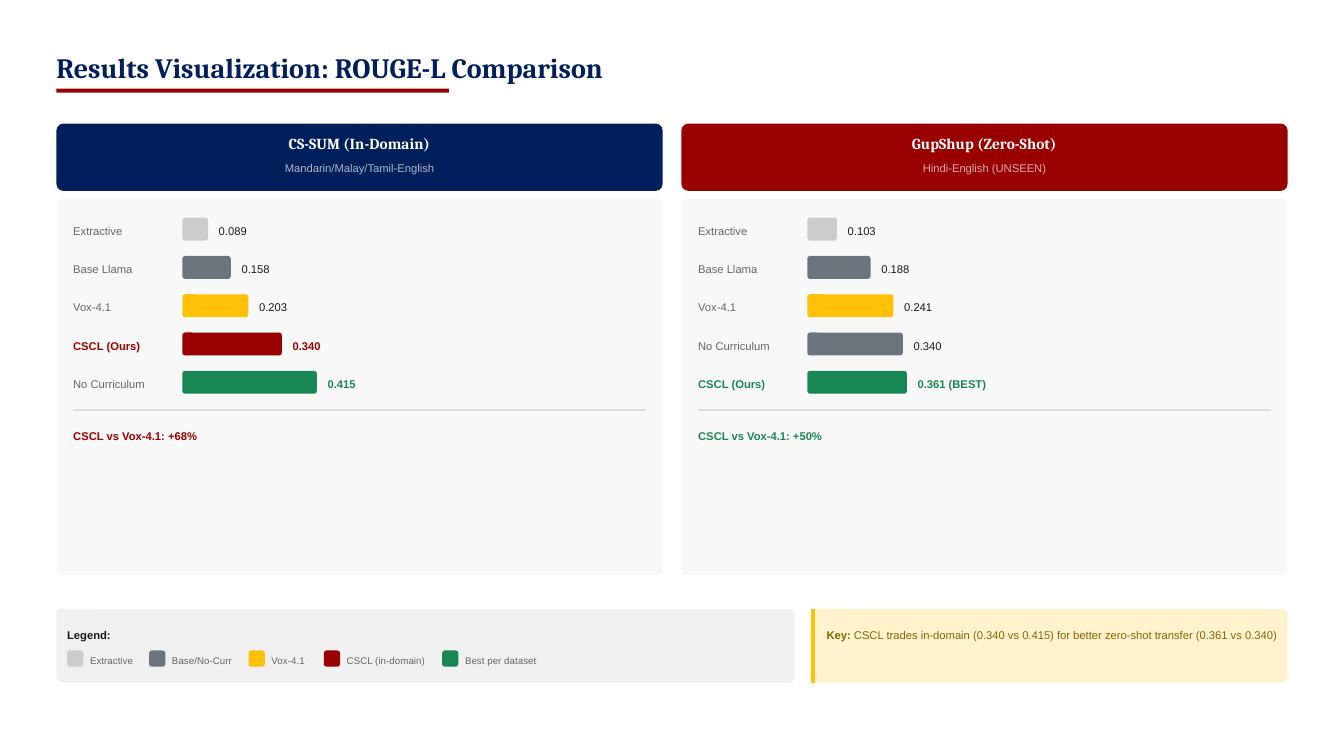
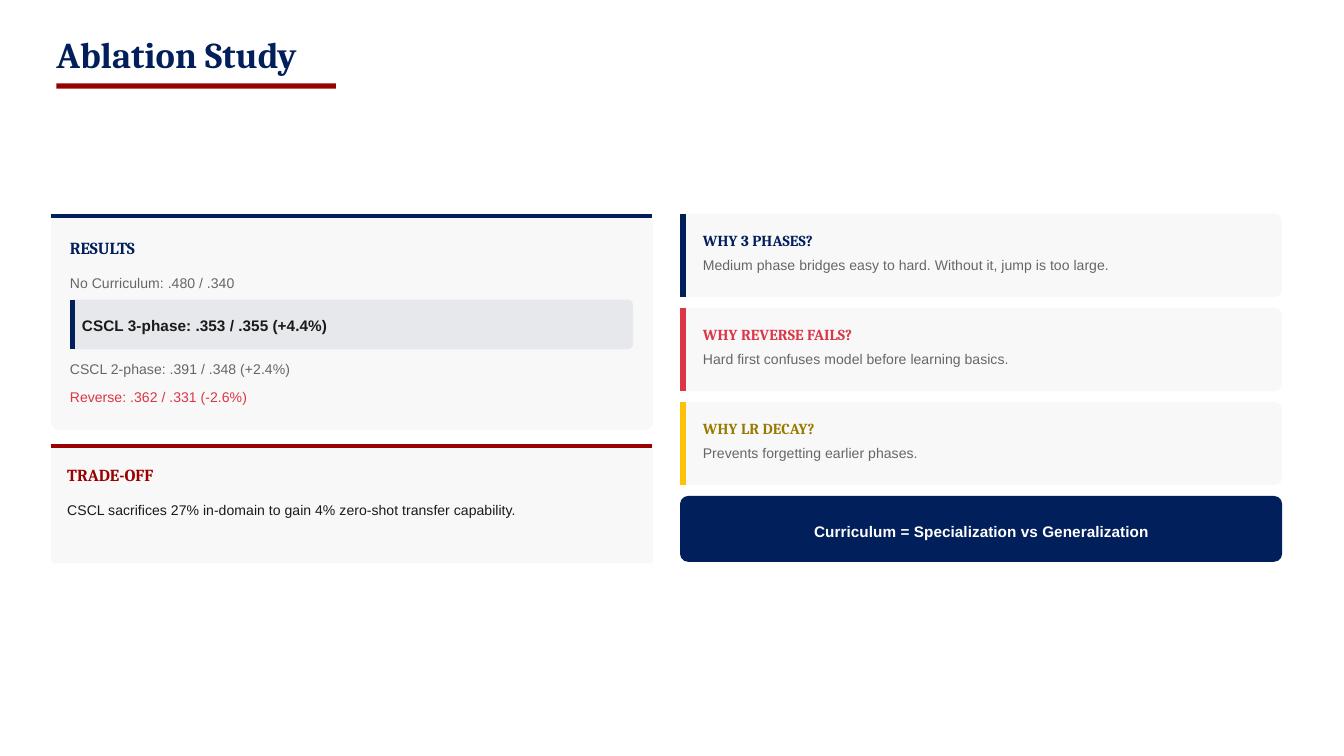
from lxml.etree import SubElement
from pptx import Presentation
from pptx.dml.color import RGBColor
from pptx.enum.shapes import MSO_CONNECTOR, MSO_SHAPE
from pptx.enum.text import MSO_ANCHOR, PP_ALIGN
from pptx.oxml.ns import qn
from pptx.util import Inches, Pt

NAVY = RGBColor(0x01, 0x1F, 0x5B)
RED = RGBColor(0x99, 0x00, 0x00)
ROSE = RGBColor(0xDC, 0x35, 0x45)
GREEN = RGBColor(0x19, 0x87, 0x54)
GOLD = RGBColor(0xFF, 0xC1, 0x07)
OLIVE = RGBColor(0x99, 0x7A, 0x00)
BROWN = RGBColor(0x85, 0x64, 0x04)
CREAM = RGBColor(0xFF, 0xF3, 0xCD)
SLATE = RGBColor(0x6C, 0x75, 0x7D)
SILVER = RGBColor(0xCC, 0xCC, 0xCC)
RULE = RGBColor(0xDD, 0xDD, 0xDD)
PANEL = RGBColor(0xF8, 0xF8, 0xF8)
STRIP = RGBColor(0xF0, 0xF0, 0xF0)
GRAY = RGBColor(0x66, 0x66, 0x66)
INK = RGBColor(0x1A, 0x1A, 0x1A)
WHITE = RGBColor(0xFF, 0xFF, 0xFF)
SERIF, SANS = "Cambria", "Arial"

# Results content: label, value, bar width, bar colour, label and value accents
PANELS = [
    {"head": "CS-SUM (In-Domain)", "sub": "Mandarin/Malay/Tamil-English",
     "color": NAVY, "gain": "CSCL vs Vox-4.1: +68%", "tone": RED,
     "rows": [("Extractive", "0.089", 0.19, SILVER, None, None),
              ("Base Llama", "0.158", 0.36, SLATE, None, None),
              ("Vox-4.1", "0.203", 0.49, GOLD, None, None),
              ("CSCL (Ours)", "0.340", 0.74, RED, RED, RED),
              ("No Curriculum", "0.415", 1.0, GREEN, None, GREEN)]},
    {"head": "GupShup (Zero-Shot)", "sub": "Hindi-English (UNSEEN)",
     "color": RED, "gain": "CSCL vs Vox-4.1: +50%", "tone": GREEN,
     "rows": [("Extractive", "0.103", 0.22, SILVER, None, None),
              ("Base Llama", "0.188", 0.47, SLATE, None, None),
              ("Vox-4.1", "0.241", 0.64, GOLD, None, None),
              ("No Curriculum", "0.340", 0.71, SLATE, None, None),
              ("CSCL (Ours)", "0.361 (BEST)", 0.74, GREEN, GREEN, GREEN)]},
]
LEGEND = [("Extractive", SILVER, 0.33), ("Base/No-Curr", SLATE, 0.46),
          ("Vox-4.1", GOLD, 0.28), ("CSCL (in-domain)", RED, 0.6),
          ("Best per dataset", GREEN, 0.54)]
KEY = ("Key:", " CSCL trades in-domain (0.340 vs 0.415) for better "
               "zero-shot transfer (0.361 vs 0.340)")

# Ablation content
SCORES = [("No Curriculum: .480 / .340", 2.02, GRAY),
          ("CSCL 2-phase: .391 / .348 (+2.4%)", 2.66, GRAY),
          ("Reverse: .362 / .331 (-2.6%)", 2.87, ROSE)]
BEST = "CSCL 3-phase: .353 / .355 (+4.4%)"
TRADE = "CSCL sacrifices 27% in-domain to gain 4% zero-shot transfer capability."
REASONS = [
    ("WHY 3 PHASES?", NAVY, NAVY,
     "Medium phase bridges easy to hard. Without it, jump is too large."),
    ("WHY REVERSE FAILS?", ROSE, ROSE,
     "Hard first confuses model before learning basics."),
    ("WHY LR DECAY?", GOLD, OLIVE, "Prevents forgetting earlier phases."),
]
CLAIM = "Curriculum = Specialization vs Generalization"


def fade(root, pct):
    """Make the solid colour under root partly transparent."""
    color = next(root.iter(qn("a:srgbClr")))
    SubElement(color, qn("a:alpha")).set("val", str(pct * 1000))


def box(slide, x, y, w, h, color, radius=0.0, alpha=None):
    kind = MSO_SHAPE.ROUNDED_RECTANGLE if radius else MSO_SHAPE.RECTANGLE
    shape = slide.shapes.add_shape(kind, Inches(x), Inches(y), Inches(w), Inches(h))
    if radius:
        shape.adjustments[0] = radius / min(w, h)
    shape.shadow.inherit = False
    shape.fill.solid()
    shape.fill.fore_color.rgb = color
    shape.line.fill.background()
    if alpha:
        fade(shape._element.spPr, alpha)


def line(slide, x, y, w, h, color, width):
    link = slide.shapes.add_connector(MSO_CONNECTOR.STRAIGHT, Inches(x), Inches(y),
                                      Inches(x + w), Inches(y + h))
    link.line.color.rgb = color
    link.line.width = Pt(width)
    SubElement(link._element.spPr, qn("a:effectLst"))


def text(slide, x, y, w, h, words, size, color, bold=False, font=SANS,
         lead=1.4, center=False, alpha=None):
    """Add one line of text; a tuple holds a bold lead-in and the rest."""
    frame = slide.shapes.add_textbox(Inches(x), Inches(y), Inches(w), Inches(h)).text_frame
    frame.word_wrap = True
    frame.vertical_anchor = MSO_ANCHOR.TOP
    frame.margin_left = frame.margin_right = frame.margin_top = frame.margin_bottom = 0
    para = frame.paragraphs[0]
    para.alignment = PP_ALIGN.CENTER if center else PP_ALIGN.LEFT
    para.line_spacing = Pt(size * lead)
    parts = words if isinstance(words, tuple) else (words,)
    for i, part in enumerate(parts):
        run = para.add_run()
        run.text = part
        run.font.name, run.font.size = font, Pt(size)
        run.font.bold = bold and i == 0
        run.font.color.rgb = color
        if alpha:
            fade(run._r, alpha)


def title(slide, words, y, w, size, bar):
    text(slide, 0.42, y, w, 0.27, words, size, NAVY, True, SERIF, 1)
    box(slide, 0.42, *bar, RED)


def panel(slide, x, data):
    # Header band and body
    box(slide, x, 0.92, 4.51, 0.5, data["color"], 0.05)
    text(slide, x + 0.04, 1, 4.43, 0.14, data["head"], 8.25, WHITE, True, SERIF, 1.2, True)
    text(slide, x + 0.04, 1.18, 4.43, 0.12, data["sub"], 6, WHITE, center=True, alpha=67)
    box(slide, x, 1.48, 4.51, 2.8, PANEL, 0.05)
    # Bars
    left, start = x + 1 / 8, x + 15 / 16
    step = (2.76 - 1.62) / (len(data["rows"]) - 1)
    for i, (label, value, size, color, mark, tone) in enumerate(data["rows"]):
        y = 1.62 + i * step
        text(slide, left, y + 0.03, 0.74, 0.12, label, 6, mark or GRAY, bool(mark))
        box(slide, start, y, size, 0.17, color, 0.02)
        wide = 0.53 if "(" in value else 0.22
        text(slide, start + size + 0.08, y + 0.03, wide, 0.12, value, 6,
             tone or INK, bool(tone))
    # Gain
    line(slide, left, 3.05, 4.26, 0, RULE, 0.75)
    text(slide, left, 3.18, 4.35, 0.12, data["gain"], 6, data["tone"], True)


def results(slide):
    title(slide, "Results Visualization: ROUGE-L Comparison", 0.42, 5.24, 15,
          (0.66, 2.92, 0.03))
    for i, data in enumerate(PANELS):
        panel(slide, 0.42 + i * 4.65, data)
    # Legend
    box(slide, 0.42, 4.53, 5.49, 0.55, STRIP, 0.04)
    text(slide, 0.5, 4.66, 5.43, 0.12, "Legend:", 6, INK, True)
    x = 0.5
    for label, color, wide in LEGEND:
        box(slide, x, 4.84, 0.12, 0.12, color, 0.02)
        text(slide, x + 0.17, 4.86, wide + 0.01, 0.1, label, 5.25, GRAY)
        x += 0.28 + wide
    # Key point
    box(slide, 6.03, 4.53, 3.55, 0.55, CREAM, 0.04)
    line(slide, 6.05, 4.53, 0, 0.55, GOLD, 2.25)
    text(slide, 6.15, 4.66, 3.42, 0.12, KEY, 6, BROWN, True)


def card(slide, y, h, top, color, radius):
    box(slide, 0.38, y, 4.48, h, PANEL, radius)
    line(slide, 0.38, top, 4.47, 0, color, 2.25)


def ablation(slide):
    title(slide, "Ablation Study", 0.29, 4.69, 19.5, (0.62, 2.08, 0.04))
    # Scores
    card(slide, 1.59, 1.61, 1.61, NAVY, 0.06)
    text(slide, 0.52, 1.77, 4.27, 0.15, "RESULTS", 9, NAVY, True, SERIF, 1.2)
    for words, y, color in SCORES:
        text(slide, 0.52, y, 4.27, 0.15, words, 7.5, color)
    box(slide, 0.52, 2.23, 4.19, 0.37, NAVY, 0.04, 7)
    line(slide, 0.54, 2.23, 0, 0.37, NAVY, 2.25)
    text(slide, 0.61, 2.33, 4.11, 0.16, BEST, 8.25, INK, True)
    # Trade-off
    card(slide, 3.31, 0.88, 3.32, RED, 0.02)
    text(slide, 0.5, 3.46, 4.31, 0.15, "TRADE-OFF", 9, RED, True, SERIF, 1.2)
    text(slide, 0.5, 3.7, 4.31, 0.16, TRADE, 7.5, INK, lead=1.5)
    # Reasons
    for i, (head, edge, color, body) in enumerate(REASONS):
        y = 1.59 + i * 0.7
        box(slide, 5.06, y, 4.48, 0.62, PANEL, 0.06)
        line(slide, 5.08, y, 0, 0.62, edge, 3)
        text(slide, 5.23, y + 0.13, 4.27, 0.14, head, 8.25, color, True, SERIF, 1.2)
        text(slide, 5.23, y + 0.3, 4.27, 0.15, body, 7.5, GRAY)
    # Claim
    box(slide, 5.06, 3.69, 4.48, 0.49, NAVY, 0.06)
    text(slide, 5.15, 3.86, 4.31, 0.16, CLAIM, 8.25, WHITE, True, center=True)


def main():
    deck = Presentation()
    deck.slide_width = Inches(10)
    deck.slide_height = Inches(10 * 9 / 16)
    for build in (results, ablation):
        build(deck.slides.add_slide(deck.slide_layouts[6]))
    deck.save("out.pptx")


if __name__ == "__main__":
    main()
